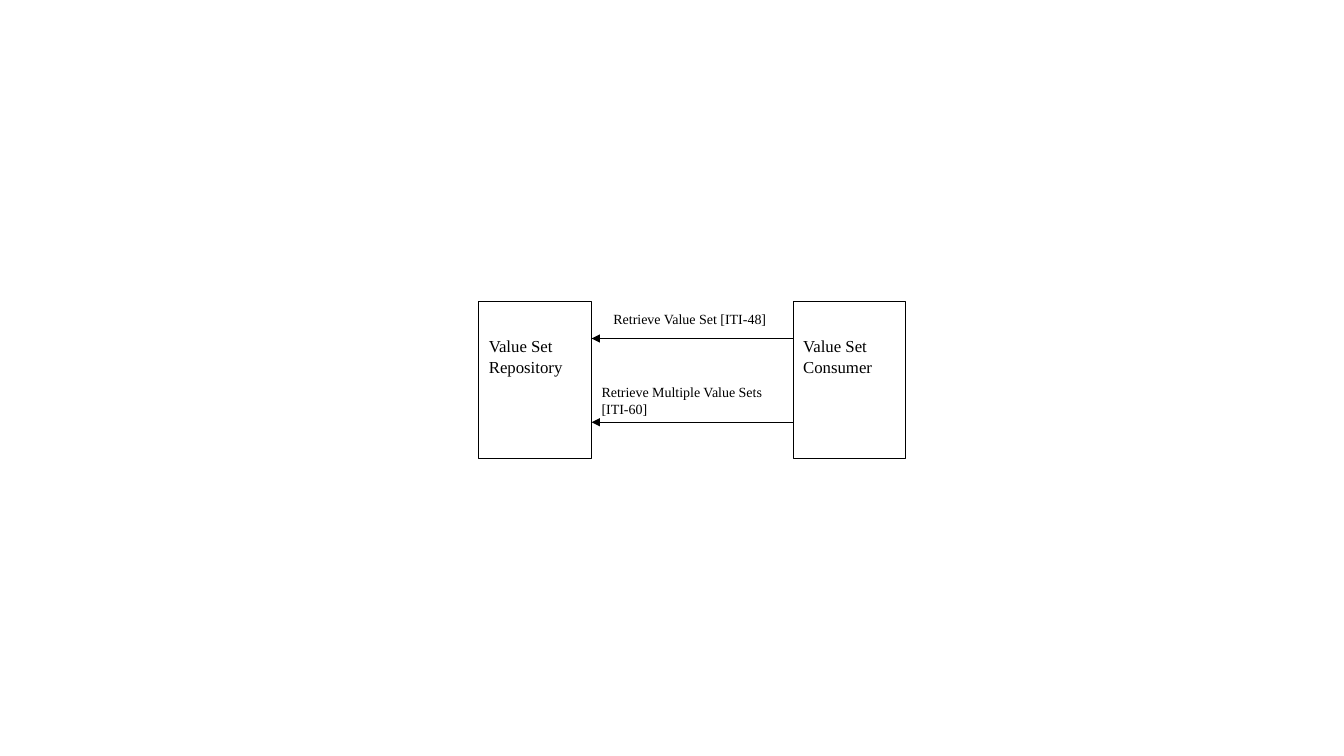
from lxml import etree
from pptx import Presentation
from pptx.dml.color import RGBColor
from pptx.enum.shapes import MSO_CONNECTOR, MSO_SHAPE
from pptx.enum.text import MSO_ANCHOR, PP_ALIGN
from pptx.oxml.ns import qn
from pptx.util import Cm, Pt

RECT = MSO_SHAPE.RECTANGLE
STRAIGHT = MSO_CONNECTOR.STRAIGHT
TOP = MSO_ANCHOR.TOP
LEFT = PP_ALIGN.LEFT

COLORS = {"ink": "000000", "paper": "FFFFFF"}
FONT = "Times New Roman"
LINE_WIDTH = Pt(0.75)

ACTOR_TOP, ACTOR_WIDTH, ACTOR_HEIGHT = 7.59, 2.84, 3.96
REPOSITORY_LEFT, CONSUMER_LEFT = 12.07, 19.99
REPOSITORY_RIGHT = REPOSITORY_LEFT + ACTOR_WIDTH


def color(name):
    return RGBColor.from_string(COLORS[name])


def set_text(shape, text, size=12, font=FONT, ink="ink", inset_top=0.13):
    tf = shape.text_frame
    tf.word_wrap = True
    tf.vertical_anchor = TOP
    tf.margin_left = tf.margin_right = Cm(0.25)
    tf.margin_top, tf.margin_bottom = Cm(inset_top), Cm(0.13)
    p = tf.paragraphs[0]
    p.text = text
    p.alignment = LEFT
    for r in p.runs:
        r.font.name = font
        r.font.size = Pt(size)
        r.font.color.rgb = color(ink)


def add_box(s, left, top, width, height, text, outlined=False, **text_format):
    sp = s.shapes.add_shape(RECT, Cm(left), Cm(top), Cm(width), Cm(height))
    sp.shadow.inherit = False
    sp.fill.solid()
    sp.fill.fore_color.rgb = color("paper")
    if outlined:
        sp.line.color.rgb = color("ink")
        sp.line.width = LINE_WIDTH
    else:
        sp.line.fill.background()
    set_text(sp, text, **text_format)


def add_actor(s, left, text):
    add_box(s, left, ACTOR_TOP, ACTOR_WIDTH, ACTOR_HEIGHT, text,
            outlined=True, inset_top=0.88)


def add_arrow(s, y):
    cxn = s.shapes.add_connector(
        STRAIGHT, Cm(CONSUMER_LEFT), Cm(y), Cm(REPOSITORY_RIGHT), Cm(y))
    cxn.line.color.rgb = color("ink")
    cxn.line.width = LINE_WIDTH
    ln = cxn.line._get_or_add_ln()
    etree.SubElement(ln, qn("a:tailEnd"), type="triangle")
    etree.SubElement(ln.getparent(), qn("a:effectLst"))


def main():
    prs = Presentation()
    prs.slide_width, prs.slide_height = Cm(33.87), Cm(19.05)
    s = prs.slides.add_slide(prs.slide_layouts[6])

    add_box(s, REPOSITORY_RIGHT, 9.53, 5.92, 1.24,
            "Retrieve Multiple Value Sets\v[ITI-60]", size=10)
    add_box(s, 15.21, 7.7, 5.08, 1.5, "Retrieve Value Set [ITI-48]", size=10)
    add_actor(s, REPOSITORY_LEFT, "Value Set Repository")
    add_actor(s, CONSUMER_LEFT, "Value Set Consumer")
    for y in (8.53, 10.64):
        add_arrow(s, y)

    prs.save("out.pptx")


if __name__ == "__main__":
    main()
